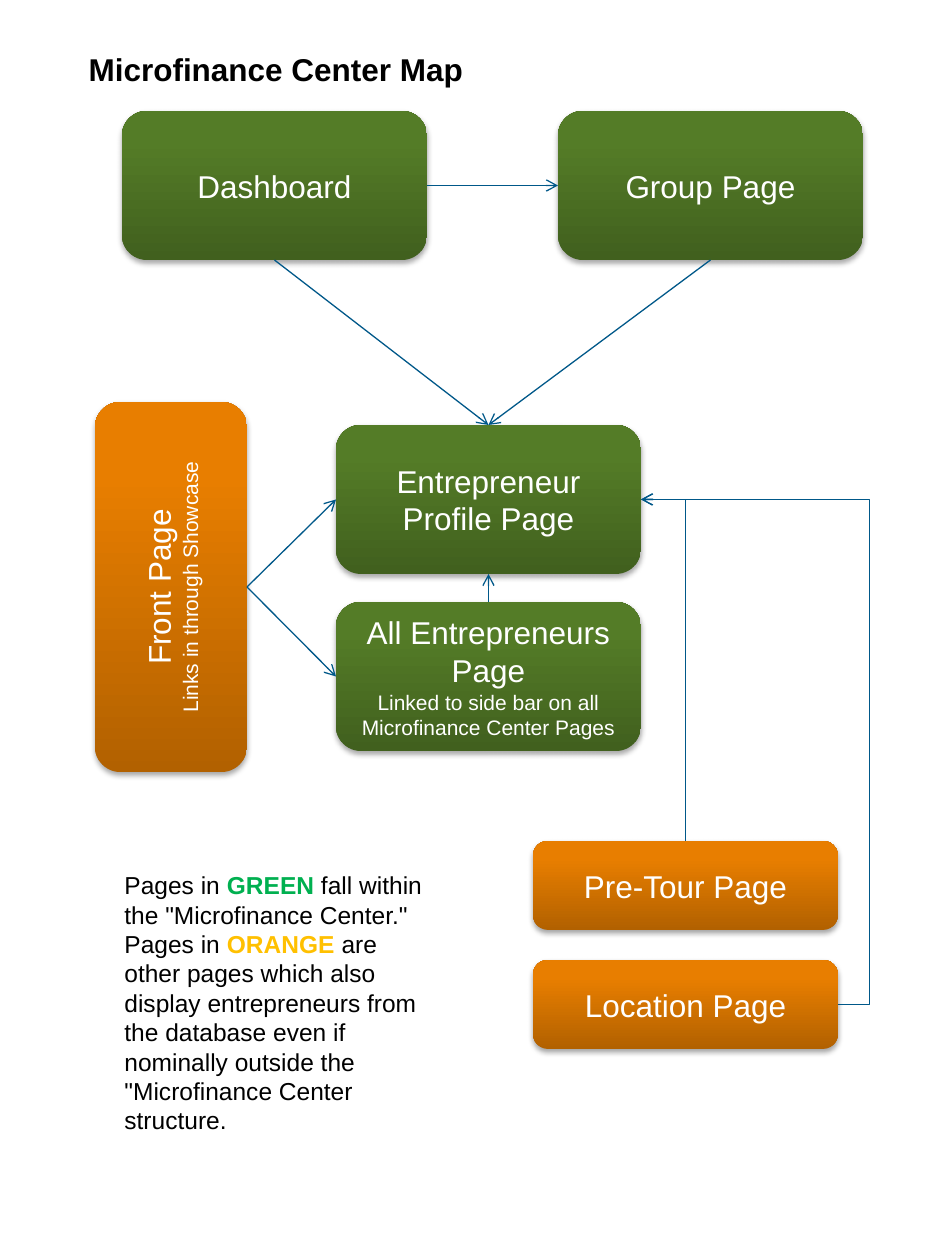
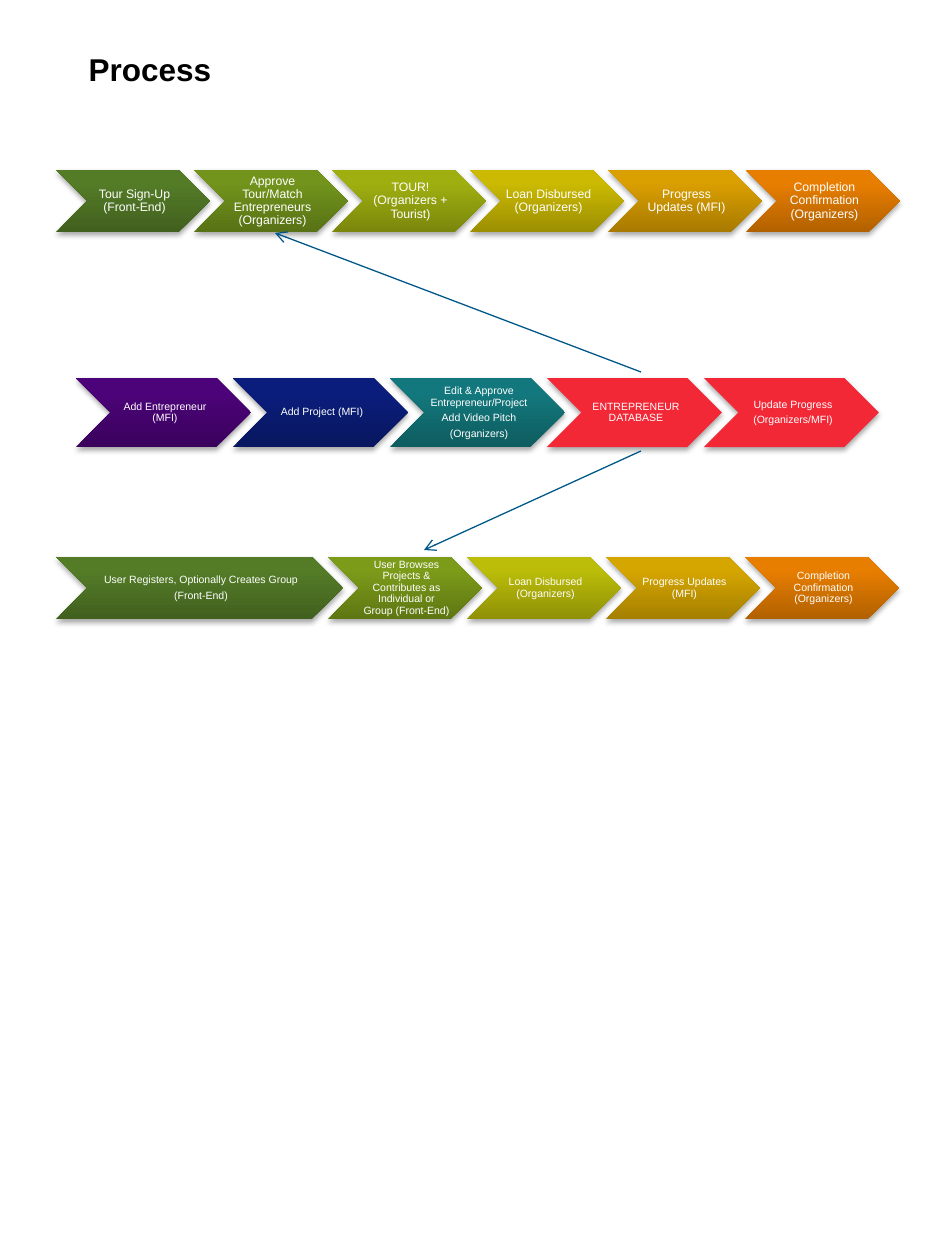
import pptx
import pptx.util
from pptx.dml.color import RGBColor
from pptx.enum.shapes import MSO_CONNECTOR, MSO_SHAPE
from pptx.enum.text import MSO_ANCHOR, MSO_AUTO_SIZE, PP_ALIGN
from pptx.oxml import parse_xml
from pptx.oxml.ns import nsdecls, qn

PX = 914400 / 126
FONT = "Arial"
TOP, LEFT, BOTTOM, RIGHT = range(4)

BLACK = RGBColor(0x00, 0x00, 0x00)
WHITE = RGBColor(0xFF, 0xFF, 0xFF)
LINK_BLUE = RGBColor(0x00, 0x58, 0x89)
KEY_GREEN = RGBColor(0x00, 0xB0, 0x50)
KEY_ORANGE = RGBColor(0xFF, 0xC0, 0x00)

# Shades run from the bottom colour to the top colour; a single colour is solid.
GREEN = RGBColor(0x41, 0x60, 0x1E), RGBColor(0x54, 0x7C, 0x27)
LEAF = RGBColor(0x58, 0x72, 0x16), RGBColor(0x72, 0x94, 0x1C)
MOSS = RGBColor(0x5F, 0x77, 0x13), RGBColor(0x7C, 0x9B, 0x19)
LIME = RGBColor(0x7A, 0x87, 0x0C), RGBColor(0x9F, 0xAF, 0x10)
CITRUS = RGBColor(0x90, 0x91, 0x07), RGBColor(0xBB, 0xBD, 0x09)
YELLOW = RGBColor(0x9C, 0x8F, 0x01), RGBColor(0xCB, 0xBA, 0x01)
GOLD = RGBColor(0xA5, 0x80, 0x00), RGBColor(0xD6, 0xA6, 0x00)
AMBER = RGBColor(0xA8, 0x7A, 0x00), RGBColor(0xDA, 0x9F, 0x00)
ORANGE = RGBColor(0xB2, 0x61, 0x00), RGBColor(0xE8, 0x7E, 0x00)
PURPLE = RGBColor(0x3A, 0x02, 0x5D), RGBColor(0x4C, 0x03, 0x79)
NAVY = RGBColor(0x08, 0x17, 0x5F), RGBColor(0x0A, 0x1D, 0x7C)
TEAL = RGBColor(0x0E, 0x5D, 0x60), RGBColor(0x13, 0x78, 0x7D)
RED = (RGBColor(0xF3, 0x28, 0x37),)


def px(*lengths):
    return [pptx.util.Emu(round(length * PX)) for length in lengths]


def format_font(font, size, color, bold=False):
    font.name = FONT
    font.size = pptx.util.Pt(size)
    font.color.rgb = color
    font.bold = bold


def add_titled_slide(prs, title):
    slide = prs.slides.add_slide(prs.slide_layouts[5])
    heading = slide.shapes.title
    heading.left, heading.top, heading.width, heading.height = px(76, 44, 403, 50)
    frame = heading.text_frame
    frame.text = title
    frame.word_wrap = False
    frame.auto_size = MSO_AUTO_SIZE.NONE
    frame.vertical_anchor = MSO_ANCHOR.TOP
    frame.paragraphs[0].alignment = PP_ALIGN.LEFT
    format_font(frame.paragraphs[0].runs[0].font, 18, BLACK, True)
    return slide


def add_block(slide, preset, box, text, shade, sizes):
    """Add a shaded, shadowed shape; the last size serves all later paragraphs."""
    block = slide.shapes.add_shape(preset, *px(*box))
    if len(shade) == 1:
        block.fill.solid()
        block.fill.fore_color.rgb = shade[0]
    else:
        block.fill.gradient()
        block.fill.gradient_angle = 90
        for stop, color, position in zip(block.fill.gradient_stops, shade, (0, 0.8)):
            stop.color.rgb = color
            stop.position = position
    block.line.fill.background()
    block.shadow.inherit = False
    block._element.spPr.find(qn("a:effectLst")).append(parse_xml(
        f'<a:outerShdw {nsdecls("a")} blurRad="40000" dist="23000" dir="5400000" '
        'rotWithShape="0"><a:srgbClr val="000000"><a:alpha val="35000"/>'
        '</a:srgbClr></a:outerShdw>'))
    frame = block.text_frame
    frame.text = text
    frame.word_wrap = True
    frame.vertical_anchor = MSO_ANCHOR.MIDDLE
    for index, paragraph in enumerate(frame.paragraphs):
        paragraph.alignment = PP_ALIGN.CENTER
        size = sizes[min(index, len(sizes) - 1)]
        format_font(paragraph.runs[0].font, size, WHITE)
    return block


def add_page(slide, box, text, shade):
    return add_block(slide, MSO_SHAPE.FLOWCHART_ALTERNATE_PROCESS, box, text, shade, (18, 12))


def add_arrow(slide, start=(0, 0), end=(0, 0), kind=MSO_CONNECTOR.STRAIGHT):
    arrow = slide.shapes.add_connector(kind, *px(*start, *end))
    arrow.line.color.rgb = LINK_BLUE
    arrow.line.width = pptx.util.Pt(0.75)
    arrow.line._get_or_add_ln().append(
        parse_xml(f'<a:tailEnd {nsdecls("a")} type="arrow"/>'))
    arrow._element.spPr.append(parse_xml(f'<a:effectLst {nsdecls("a")}/>'))
    return arrow


def link(slide, source, source_side, target, target_side, kind=MSO_CONNECTOR.STRAIGHT):
    arrow = add_arrow(slide, kind=kind)
    arrow.begin_connect(source, source_side)
    arrow.end_connect(target, target_side)
    return arrow


def turn_single_corner(arrow):
    """Make an elbow run straight up, then left, with one corner."""
    left, top, width, height = arrow.left, arrow.top, arrow.width, arrow.height
    arrow.left = left + (width - height) // 2
    arrow.top = top + (height - width) // 2
    arrow.width, arrow.height = height, width
    properties = arrow._element.spPr
    properties.find(qn("a:prstGeom")).set("prst", "bentConnector2")
    frame = properties.find(qn("a:xfrm"))
    frame.set("rot", "16200000")
    frame.set("flipH", "0")
    frame.set("flipV", "1")


def bulge_outward(arrow, percent):
    """Carry an elbow's middle leg beyond its start by a share of its width."""
    geometry = arrow._element.spPr.find(qn("a:prstGeom"))
    for guides in geometry.findall(qn("a:avLst")):
        geometry.remove(guides)
    geometry.append(parse_xml(
        f'<a:avLst {nsdecls("a")}><a:gd name="adj1" fmla="val {-percent * 1000}"/></a:avLst>'))


def add_color_key(slide, box):
    key = slide.shapes.add_textbox(*px(*box))
    key.text_frame.word_wrap = True
    paragraph = key.text_frame.paragraphs[0]
    for text, color in (
        ("Pages in ", BLACK),
        ("GREEN", KEY_GREEN),
        (' fall within the "Microfinance Center." Pages in ', BLACK),
        ("ORANGE ", KEY_ORANGE),
        ("are other pages which also display entrepreneurs from the database even if "
         'nominally outside the "Microfinance Center structure.', BLACK),
    ):
        run = paragraph.add_run()
        run.text = text
        format_font(run.font, 14, color, color != BLACK)


def add_chevron_row(slide, left, top, height, overlap, size, steps):
    """Lay out (width, text, shade) steps from left to right."""
    for width, text, shade in steps:
        step = add_block(slide, MSO_SHAPE.CHEVRON, (left, top, width, height),
                         text, shade, (size,))
        frame = step.text_frame
        (frame.margin_left, frame.margin_top,
         frame.margin_right, frame.margin_bottom) = px(4, 1, 1, 1)
        for paragraph in frame.paragraphs:
            paragraph.line_spacing = 0.9
            paragraph.space_after = pptx.util.Pt(2.4)
        left += width - overlap


def build_center_map(prs):
    slide = add_titled_slide(prs, "Microfinance Center Map")
    wide, tall, low = 305, 149, 89
    dashboard = add_page(slide, (122, 111, wide, tall), "Dashboard", GREEN)
    group = add_page(slide, (558, 111, wide, tall), "Group Page", GREEN)
    profile = add_page(slide, (336, 425, wide, tall), "Entrepreneur Profile Page", GREEN)
    everyone = add_page(
        slide, (336, 602, wide, tall),
        "All Entrepreneurs Page\nLinked to side bar on all Microfinance Center Pages", GREEN)
    pre_tour = add_page(slide, (533, 841, wide, low), "Pre-Tour Page", ORANGE)
    location = add_page(slide, (533, 960, wide, low), "Location Page", ORANGE)
    front = add_page(slide, (95, 402, 152, 370),
                     "Front Page\nLinks in through Showcase", ORANGE)
    front.text_frame._txBody.bodyPr.set("vert", "vert270")
    add_color_key(slide, (112, 864, 324, 280))

    for source, source_side, target, target_side in (
        (dashboard, RIGHT, group, LEFT),
        (dashboard, BOTTOM, profile, TOP),
        (group, BOTTOM, profile, TOP),
        (everyone, TOP, profile, BOTTOM),
        (front, RIGHT, profile, LEFT),
        (front, RIGHT, everyone, LEFT),
    ):
        link(slide, source, source_side, target, target_side)
    turn_single_corner(link(slide, pre_tour, TOP, profile, RIGHT, MSO_CONNECTOR.ELBOW))
    bulge_outward(link(slide, location, RIGHT, profile, RIGHT, MSO_CONNECTOR.ELBOW), 16)


def build_process(prs):
    slide = add_titled_slide(prs, "Process")
    add_chevron_row(slide, 56, 170, 62, 16, 7, [(154, text, shade) for text, shade in (
        ("Tour Sign-Up (Front-End)", GREEN),
        ("Approve Tour/Match Entrepreneurs (Organizers)", LEAF),
        ("TOUR! (Organizers + Tourist)", LIME),
        ("Loan Disbursed (Organizers)", YELLOW),
        ("Progress Updates (MFI)", AMBER),
        ("Completion Confirmation (Organizers)", ORANGE),
    )])
    add_chevron_row(slide, 76, 378, 69, 18, 6, [(175, text, shade) for text, shade in (
        ("Add Entrepreneur (MFI)", PURPLE),
        ("Add Project (MFI)", NAVY),
        ("Edit & Approve Entrepreneur/Project\nAdd Video Pitch\n(Organizers)", TEAL),
        ("ENTREPRENEUR DATABASE", RED),
        ("Update Progress\n(Organizers/MFI)", RED),
    )])
    add_chevron_row(slide, 56, 557, 62, 15, 6, [
        (287, "User Registers, Optionally Creates Group\n(Front-End)", GREEN),
        (154, "User Browses Projects & Contributes as Individual or Group (Front-End)", MOSS),
        (154, "Loan Disbursed (Organizers)", CITRUS),
        (154, "Progress Updates (MFI)", GOLD),
        (154, "Completion Confirmation (Organizers)", ORANGE),
    ])
    add_arrow(slide, (641, 372), (275, 233))
    add_arrow(slide, (641, 451), (424, 550))


def main():
    prs = pptx.Presentation()
    prs.slide_width, prs.slide_height = px(945, 1260)
    build_center_map(prs)
    build_process(prs)
    prs.save("out.pptx")


if __name__ == "__main__":
    main()
